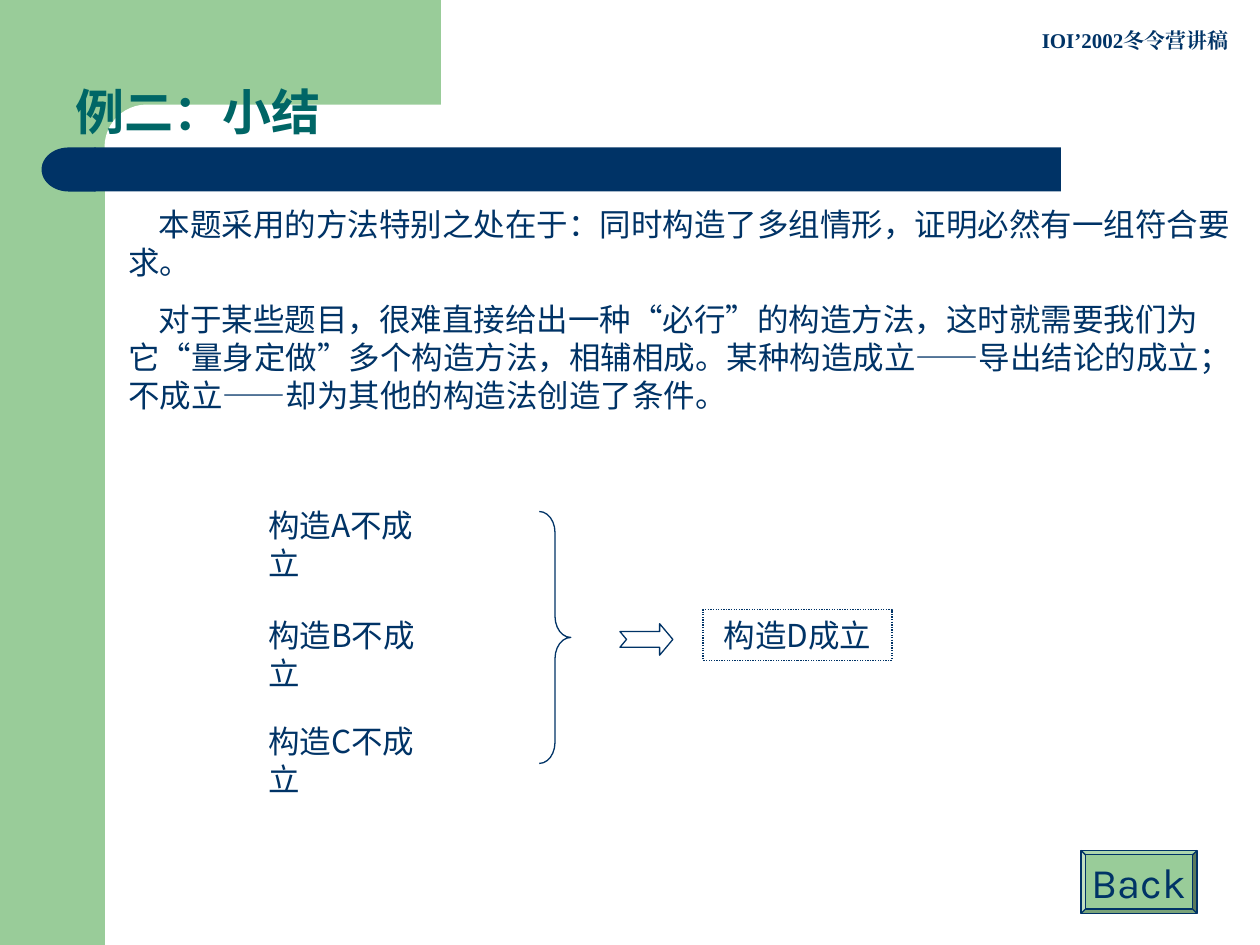
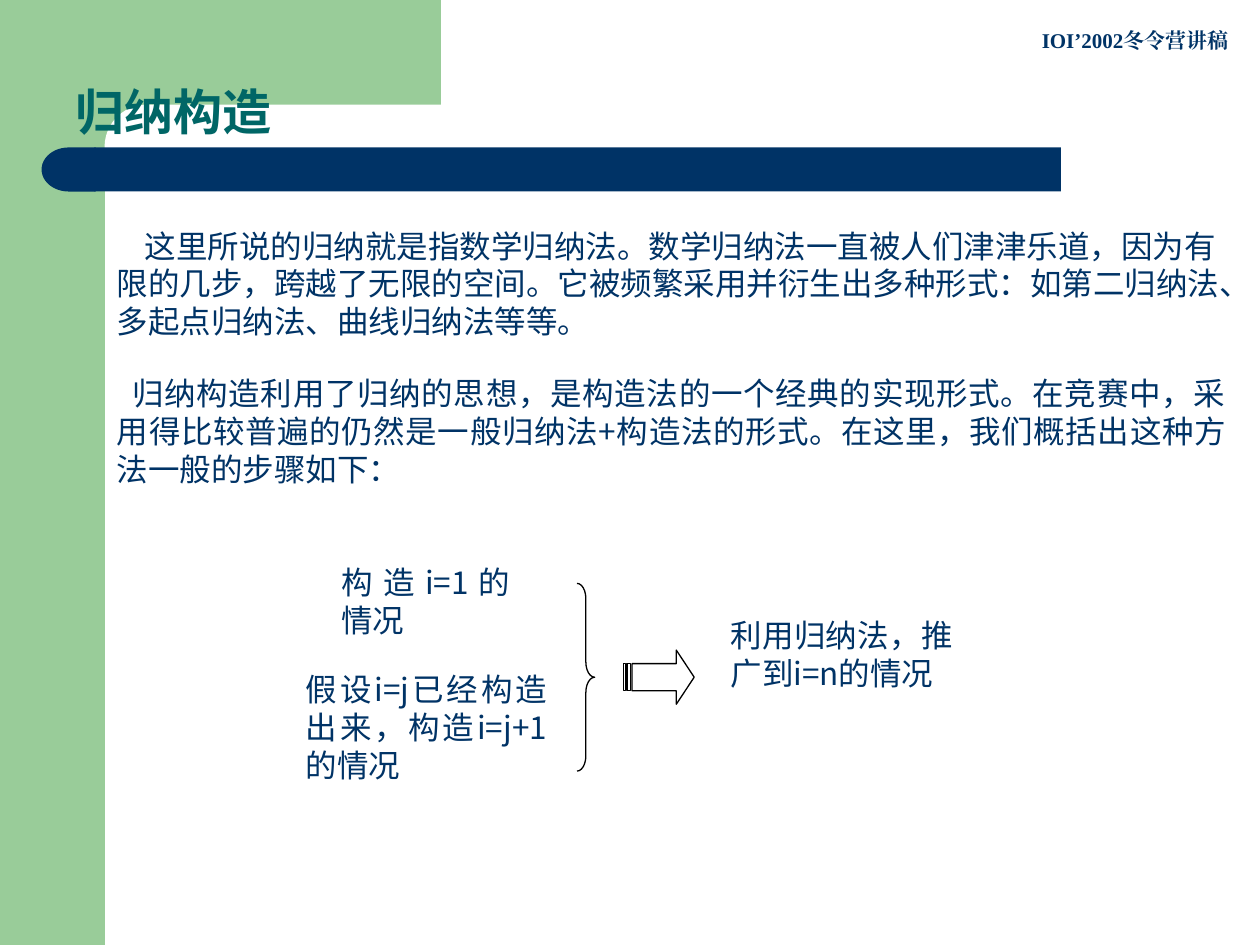
from dataclasses import dataclass

from pptx import Presentation
from pptx import util as u
from pptx.dml.color import RGBColor
from pptx.enum import dml, shapes, text
from pptx.oxml.ns import qn
from lxml import etree

KIND = shapes.MSO_SHAPE
ALIGN = text.PP_ALIGN


@dataclass(frozen=True)
class Theme:
    width: float = 10
    height: float = 7.5
    green: str = "99CC99"
    navy: str = "003366"
    teal: str = "006666"
    white: str = "FFFFFF"
    black: str = "000000"
    sans: str = "Noto Sans CJK SC"
    title_font: str = "Arial"
    serif: str = "Times New Roman"
    button_font: str = "Karla"
    header_size: int = 12
    body_size: int = 18
    button_size: int = 24
    title_size: int = 28
    body_gap: float = 11.2
    header_gap: float = 7.5
    hairline: float = 0.75


T = Theme()

# ---- Content: boxes are (left, top, width, height) in inches ----
HEADER = ("IOI’2002冬令营讲稿", (8.17, 0.17, 1.83, 0.5))

BANDS = [  # kind, box, fill, corner, rotation
    (KIND.RECTANGLE, (0, 0, T.width / 12, T.height), T.green, None, 0),
    (KIND.RECTANGLE, (0.75, 0, 2.75, 1.17), T.green, None, 0),
    (KIND.ROUNDED_RECTANGLE, (0.83, 0.83, 5.58, 0.67), T.white, 0.5, 0),
    (KIND.RECTANGLE, (0.75, 1.17, 7.67, 0.35), T.navy, None, 0),
    (KIND.FLOWCHART_DELAY, (0.33, 1.17, 0.43, 0.35), T.navy, None, 180),
]

SUMMARY = {
    "title": ("例二：小结", (0.5, -0.08, 8.5, 1.25)),
    "bodies": [  # box, alignment, first-line indent, paragraphs
        ((0.92, 1.58, 9, 1.76), ALIGN.LEFT, 0.24, [
            "本题采用的方法特别之处在于：同时构造了多组情形，证明必然有一组符合要求。",
            "对于某些题目，很难直接给出一种“必行”的构造方法，这时就需要我们为它“量身定做”"
            "多个构造方法，相辅相成。某种构造成立——导出结论的成立；"
            "不成立——却为其他的构造法创造了条件。",
        ]),
    ],
    "cases": [(f"构造{case}不成立", (2.03, top, 1.58, 0.7))
              for case, top in zip("ABC", (3.97, 4.84, 5.68))],
    "result": ("构造D成立", (5.58, 4.84, 1.5, 0.4)),
    "symbols": [  # kind, box, adjustments, fill, line
        (KIND.RIGHT_BRACE, (4.28, 4.06, 0.25, 2), (0.67, 0.5), None, T.navy),
        (KIND.NOTCHED_RIGHT_ARROW, (4.92, 4.95, 0.42, 0.25), (0.5, 0.42),
         None, T.navy),
    ],
    "button": ("Back", (8.58, 6.75, 0.92, 0.5)),
}

INDUCTION = {
    "title": ("归纳构造", (0.5, 0.25, 2.92, 0.92)),
    "bodies": [
        ((0.83, 1.75, 9, 1), ALIGN.LEFT, 0.22, [
            "这里所说的归纳就是指数学归纳法。数学归纳法一直被人们津津乐道，因为有限的几步，"
            "跨越了无限的空间。它被频繁采用并衍生出多种形式：如第二归纳法、多起点归纳法、"
            "曲线归纳法等等。",
        ]),
        ((0.83, 2.92, 9, 1.46), ALIGN.JUSTIFY, 0.12, [
            "归纳构造利用了归纳的思想，是构造法的一个经典的实现形式。在竞赛中，"
            "采用得比较普遍的仍然是一般归纳法+构造法的形式。在这里，"
            "我们概括出这种方法一般的步骤如下：",
        ]),
    ],
    "steps": [
        ("构造i=1的情况", (2.61, 4.42, 1.54, 0.64)),
        ("假设i=j已经构造出来，构造i=j+1的情况", (2.33, 5.27, 2.11, 1.06)),
        ("利用归纳法，推广到i=n的情况", (5.7, 4.84, 1.96, 1.06)),
    ],
    "symbols": [
        (KIND.RIGHT_BRACE, (4.58, 4.63, 0.14, 1.49), (0.86, 0.5), None, T.black),
        (KIND.STRIPED_RIGHT_ARROW, (4.95, 5.16, 0.56, 0.43), (0.5, 0.33),
         T.white, T.black),
    ],
}


# ---- Building blocks ----
def inches(box):
    return [u.Inches(length) for length in box]


def rgb(value):
    return RGBColor.from_string(value)


def add_figure(slide, kind, box, fill=None, line=None, adjust=()):
    figure = slide.shapes.add_shape(kind, *inches(box))
    figure.shadow.inherit = False
    for index, value in enumerate(adjust):
        figure.adjustments[index] = value
    if fill:
        figure.fill.solid()
        figure.fill.fore_color.rgb = rgb(fill)
    else:
        figure.fill.background()
    if line:
        figure.line.color.rgb = rgb(line)
        figure.line.width = u.Pt(T.hairline)
    else:
        figure.line.fill.background()
    return figure


def write(holder, paragraphs, size=T.body_size, font=T.sans, color=T.navy,
          bold=False, indent=0, frame=None, **layout):
    """Fill a shape with paragraphs; layout holds paragraph format values."""
    frame_values = {"word_wrap": True, "vertical_anchor": text.MSO_ANCHOR.TOP,
                    **(frame or {})}
    for name, value in frame_values.items():
        setattr(holder.text_frame, name, value)
    for index, words in enumerate(paragraphs):
        paragraph = (holder.text_frame.add_paragraph() if index
                     else holder.text_frame.paragraphs[0])
        for name, value in {"alignment": ALIGN.LEFT, **layout}.items():
            setattr(paragraph, name, value)
        if indent:
            properties = paragraph._p.get_or_add_pPr()
            properties.set("marL", "0")
            properties.set("indent", str(u.Inches(indent)))
        run = paragraph.add_run()
        run.text = words
        for name, value in {"name": font, "size": u.Pt(size), "bold": bold}.items():
            setattr(run.font, name, value)
        run.font.color.rgb = rgb(color)
        east_asian = etree.SubElement(run._r.get_or_add_rPr(), qn("a:ea"))
        east_asian.set("typeface", T.sans if font == T.title_font else font)


def add_text(slide, box, paragraphs, **style):
    write(slide.shapes.add_textbox(*inches(box)), paragraphs, **style)


# ---- Shared slide design ----
def add_base(deck, content):
    slide = deck.slides.add_slide(deck.slide_layouts[6])
    for kind, box, fill, corner, rotation in BANDS:
        band = add_figure(slide, kind, box, fill,
                          adjust=() if corner is None else (corner,))
        band.rotation = rotation
    words, box = HEADER
    add_text(slide, box, [words], size=T.header_size, font=T.serif, bold=True,
             space_before=u.Pt(T.header_gap))
    words, box = content["title"]
    add_text(slide, box, [words], size=T.title_size, font=T.title_font,
             color=T.teal, bold=True, line_spacing=0.9,
             frame={"vertical_anchor": text.MSO_ANCHOR.BOTTOM})
    for box, alignment, indent, paragraphs in content["bodies"]:
        add_text(slide, box, paragraphs, indent=indent, alignment=alignment,
                 space_before=u.Pt(T.body_gap))
    return slide


def add_symbols(slide, symbols):
    for kind, box, adjust, fill, line in symbols:
        add_figure(slide, kind, box, fill, line, adjust)


def build_summary(deck):
    slide = add_base(deck, SUMMARY)
    gap = u.Pt(T.body_gap)
    # Failed cases and what follows from them
    for words, box in SUMMARY["cases"]:
        add_text(slide, box, [words], space_before=gap)
    words, box = SUMMARY["result"]
    result = add_figure(slide, KIND.RECTANGLE, box, line=T.navy)
    result.line.dash_style = dml.MSO_LINE.ROUND_DOT
    write(result, [words], alignment=ALIGN.CENTER, space_before=gap)
    add_symbols(slide, SUMMARY["symbols"])
    # Return button
    words, box = SUMMARY["button"]
    button = add_figure(slide, KIND.BEVEL, box, T.green, T.navy, (0.07,))
    write(button, [words], size=T.button_size, font=T.button_font,
          alignment=ALIGN.CENTER,
          frame={"word_wrap": False, "vertical_anchor": text.MSO_ANCHOR.MIDDLE})


def build_induction(deck):
    slide = add_base(deck, INDUCTION)
    # Base case, inductive step and conclusion
    for words, box in INDUCTION["steps"]:
        step = add_figure(slide, KIND.RECTANGLE, box, T.white)
        write(step, [words], alignment=ALIGN.JUSTIFY)
    add_symbols(slide, INDUCTION["symbols"])


def main():
    deck = Presentation()
    deck.slide_width, deck.slide_height = inches((T.width, T.height))
    build_summary(deck)
    build_induction(deck)
    deck.save("out.pptx")


if __name__ == "__main__":
    main()
